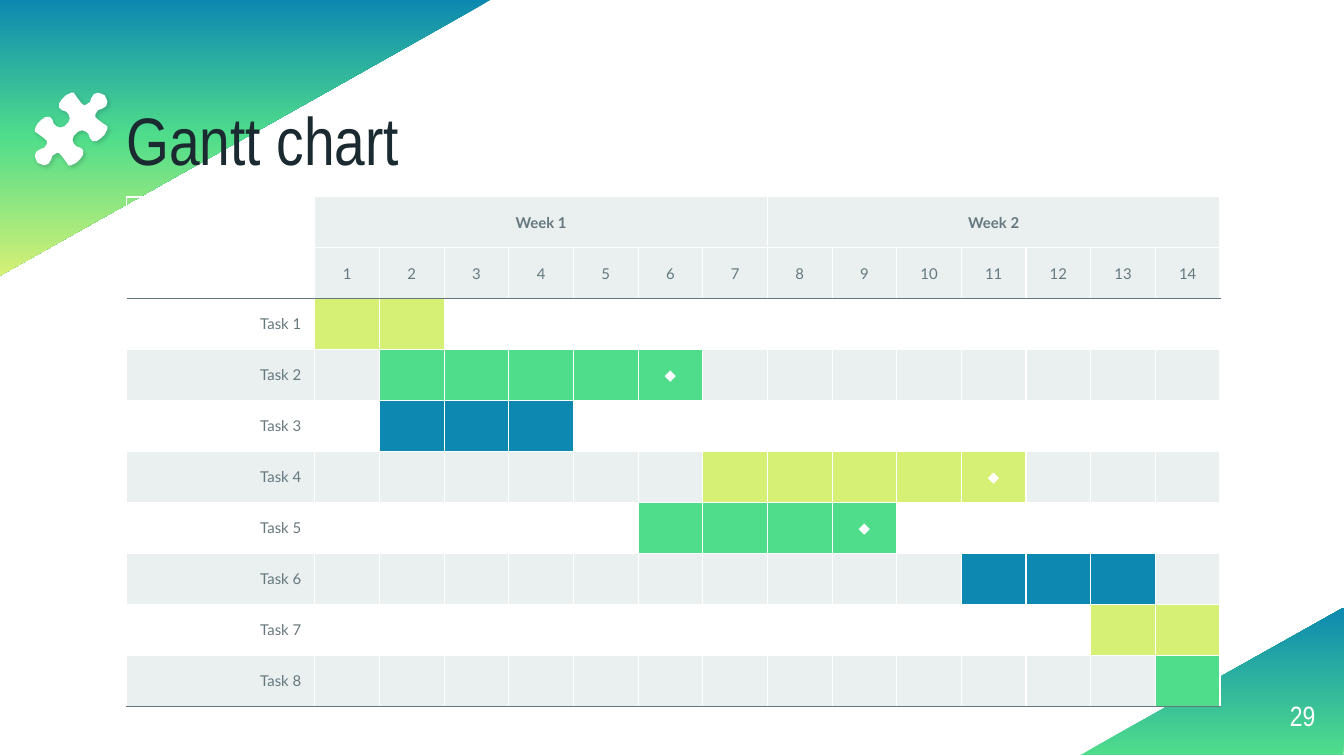
from lxml import etree
from pptx import Presentation
from pptx.dml.color import RGBColor
from pptx.enum.shapes import MSO_SHAPE
from pptx.enum.text import MSO_ANCHOR, MSO_AUTO_SIZE, PP_ALIGN
from pptx.oxml.ns import qn
from pptx.util import Cm, Pt

TRIANGLE = MSO_SHAPE.RIGHT_TRIANGLE
MIDDLE, BOTTOM = MSO_ANCHOR.MIDDLE, MSO_ANCHOR.BOTTOM
LEFT, CENTER, RIGHT = PP_ALIGN.LEFT, PP_ALIGN.CENTER, PP_ALIGN.RIGHT
NO_AUTOFIT = MSO_AUTO_SIZE.NONE

COLORS = {
    "white": "FFFFFF", "ink": "1A2A30", "gray": "66787E", "pale": "E9F0EF",
    "blue": "0D89B1", "green": "50DD8B", "lime": "D6F075",
}
HEADING_FONT, BODY_FONT = "Arial Narrow", "Lato"

# Each task: bar color, first day, last day, milestone on the last day
TASKS = [
    ("lime", 1, 2, False), ("green", 2, 6, True),
    ("blue", 2, 4, False), ("lime", 7, 11, True),
    ("green", 6, 9, True), ("blue", 11, 13, False),
    ("lime", 13, 14, False), ("green", 14, 14, False),
]
DAYS, WEEK = 14, 7
HEADER_ROWS = 2

# A quarter of the puzzle piece, from socket to knob, in 1/100 inch
PUZZLE_UNIT = Cm(2.54) / 100
PUZZLE_QUARTER = [
    (49, 93), (51, 91), (52, 88), (51, 85), (49, 83), (46, 82), (44, 80),
    (44, 77), (46, 74), (49, 71), (53, 69), (55, 69), (57, 72), (60, 76),
    (62, 78), (64, 78), (67, 76), (68, 73), (70, 70), (73, 69), (76, 70),
    (78, 71),
]


class GanttSlide:
    """Holds the style and the current slide."""

    def __init__(self, presentation):
        self.slide = presentation.slides.add_slide(presentation.slide_layouts[5])
        self.shapes = self.slide.shapes

    def color(self, name):
        return RGBColor.from_string(COLORS[name])

    def add_color(self, parent, name):
        return etree.SubElement(parent, qn("a:srgbClr"), val=COLORS[name])

    def add_text(self, paragraph, text, size, font, color, align=LEFT, bold=False):
        paragraph.alignment = align
        run = paragraph.add_run()
        run.text = text
        run.font.size = Pt(size)
        run.font.name = font
        run.font.bold = bold
        run.font.color.rgb = self.color(color)

    def frame(self, shape, anchor):
        frame = shape.text_frame
        frame.word_wrap = True
        frame.auto_size = NO_AUTOFIT
        frame.vertical_anchor = anchor
        frame.margin_left = frame.margin_right = 0
        frame.margin_top = frame.margin_bottom = 0
        return frame.paragraphs[0]

    def triangle(self, left, top, width, height, rotation, colors):
        shape = self.shapes.add_shape(
            TRIANGLE, Cm(left), Cm(top), Cm(width), Cm(height))
        shape.rotation = rotation
        shape.shadow.inherit = False
        shape.line.fill.background()
        shape.fill.gradient()
        shape.fill.gradient_angle = 0
        stops = shape.element.find(".//" + qn("a:gsLst"))
        for stop in list(stops):
            stops.remove(stop)
        for index, name in enumerate(colors):
            position = 100000 * index // (len(colors) - 1)
            stop = etree.SubElement(stops, qn("a:gs"), pos=str(position))
            self.add_color(stop, name)
        # Backdrop shapes go behind the title
        self.shapes.element.insert(2, shape.element)

    def title(self, text):
        title = self.shapes.title
        title.left, title.top = Cm(2.39), Cm(2.31)
        title.width, title.height = Cm(20.68), Cm(1.09)
        paragraph = self.frame(title, BOTTOM)
        paragraph.line_spacing = 0.9
        self.add_text(paragraph, text, 36, HEADING_FONT, "ink")

    def page_number(self, text):
        box = self.shapes.add_textbox(Cm(23.34), Cm(12.98), Cm(1.52), Cm(1.09))
        paragraph = self.frame(box, MIDDLE)
        self.add_text(paragraph, text, 15, HEADING_FONT, "white", RIGHT)

    def borders(self, cell, **sides):
        properties = cell._tc.get_or_add_tcPr()
        for side in "LRTB":
            if side in sides:
                line = etree.SubElement(
                    properties, qn("a:ln" + side), w=str(int(Pt(0.75))))
                fill = etree.SubElement(line, qn("a:solidFill"))
                self.add_color(fill, sides[side])

    def cell(self, cell, fill, text="", color="gray", align=CENTER, bold=False):
        cell.vertical_anchor = MIDDLE
        if fill:
            cell.fill.solid()
            cell.fill.fore_color.rgb = self.color(fill)
        else:
            cell.fill.background()
        if text:
            self.add_text(cell.text_frame.paragraphs[0], text, 8, BODY_FONT,
                          color, align, bold)
        else:
            # Keeps empty cells from stretching the row
            cell.margin_top = cell.margin_bottom = 0

    def gantt(self):
        rows = HEADER_ROWS + len(TASKS)
        width, label_width, height = 20.68, 3.56, 9.63
        table = self.shapes.add_table(
            rows, DAYS + 1, Cm(2.39), Cm(3.72), Cm(width), Cm(height)).table
        table.first_row = table.horz_banding = False
        for row in table.rows:
            row.height = Cm(height / rows)
        for index, column in enumerate(table.columns):
            column.width = Cm((width - label_width) / DAYS if index else label_width)

        # Borders: white grid, gray rules under the header and the last task
        for row in range(rows):
            top = "gray" if row == HEADER_ROWS else "white"
            bottom = "gray" if row in (HEADER_ROWS - 1, rows - 1) else "white"
            for column in range(DAYS + 1):
                sides = {"R": "white", "B": bottom}
                if column or row >= HEADER_ROWS:
                    sides.update(L="white", T=top)
                self.borders(table.cell(row, column), **sides)

        # Header: weeks and days
        for row in range(HEADER_ROWS):
            self.cell(table.cell(row, 0), None)
        for day in range(1, DAYS + 1):
            week, rest = divmod(day - 1, WEEK)
            label = "" if rest else f"Week {week + 1}"
            self.cell(table.cell(0, day), "pale", label, bold=True)
            self.cell(table.cell(1, day), "pale", str(day))
        for day in range(1, DAYS + 1, WEEK):
            table.cell(0, day).merge(table.cell(0, day + WEEK - 1))

        # Task rows
        for number, (color, start, end, milestone) in enumerate(TASKS, 1):
            row = HEADER_ROWS + number - 1
            band = None if number % 2 else "pale"
            self.cell(table.cell(row, 0), band, f"Task {number}", align=RIGHT)
            for day in range(1, DAYS + 1):
                mark = "◆" if milestone and day == end else ""
                fill = color if start <= day <= end else band
                self.cell(table.cell(row, day), fill, mark, "white")

    def puzzle(self):
        # Mirror the quarter across both diagonals of the piece
        half = PUZZLE_QUARTER + [(149 - y, 149 - x) for x, y in PUZZLE_QUARTER[::-1]]
        outline = half + [(y - 43, x + 43) for x, y in half[::-1]]
        builder = self.shapes.build_freeform(*outline[0], scale=PUZZLE_UNIT)
        builder.add_line_segments(outline[1:], close=True)
        shape = builder.convert_to_shape()
        shape.fill.solid()
        shape.fill.fore_color.rgb = self.color("white")
        shape.line.fill.background()
        shape.shadow.inherit = False
        effects = shape.element.find(".//" + qn("a:effectLst"))
        shadow = etree.SubElement(
            effects, qn("a:outerShdw"), blurRad=str(int(Pt(2.2))),
            dist=str(int(Pt(1.5))), dir="2700000", algn="bl", rotWithShape="0")
        tint = self.add_color(shadow, "ink")
        etree.SubElement(tint, qn("a:alpha"), val="20000")


def main():
    presentation = Presentation()
    presentation.slide_width, presentation.slide_height = Cm(25.4), Cm(14.29)
    page = GanttSlide(presentation)
    page.triangle(2.03, -2.03, 5.21, 9.27, 90, ["blue", "green", "lime"])
    page.triangle(21.51, 10.39, 2.79, 4.98, 270, ["green", "blue"])
    page.title("Gantt chart")
    page.page_number("29")
    page.gantt()
    page.puzzle()
    presentation.save("out.pptx")


if __name__ == "__main__":
    main()
